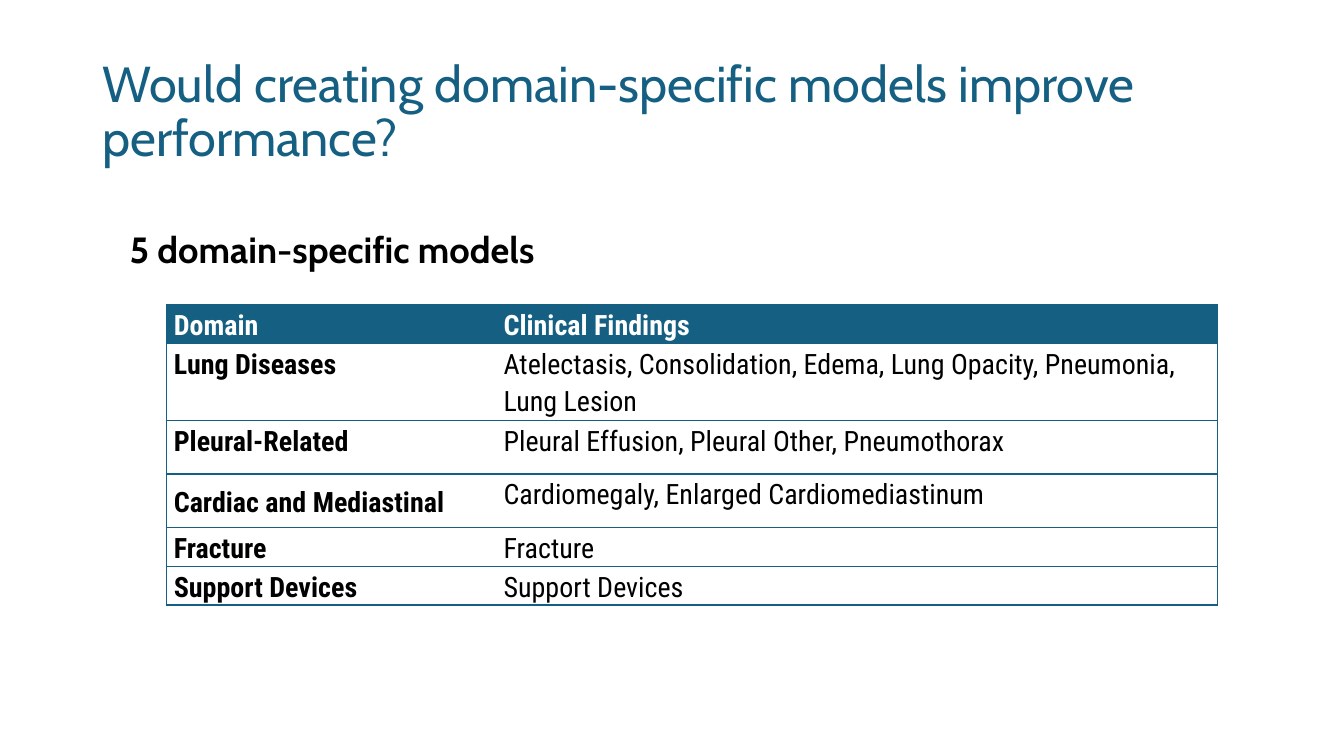
from lxml import etree
from pptx import Presentation
from pptx.dml.color import RGBColor
from pptx.enum.text import MSO_ANCHOR, PP_ALIGN
from pptx.oxml.ns import qn
from pptx.util import Cm, Pt

TOP, MIDDLE = MSO_ANCHOR.TOP, MSO_ANCHOR.MIDDLE
LEFT, JUSTIFY = PP_ALIGN.LEFT, PP_ALIGN.JUSTIFY

TITLE = "Would creating domain-specific models improve performance?"
SUBTITLE = "5 domain-specific models"
HEADER = ("Domain", "Clinical Findings")
FINDINGS = [
    ("Lung Diseases", "Atelectasis, Consolidation, Edema, Lung Opacity, Pneumonia, Lung Lesion"),
    ("Pleural-Related", "Pleural Effusion, Pleural Other, Pneumothorax"),
    ("Cardiac and Mediastinal", "Cardiomegaly, Enlarged Cardiomediastinum"),
    ("Fracture", "Fracture"),
    ("Support Devices", "Support Devices"),
]
CENTERED_DOMAIN = "Cardiac and Mediastinal"
COLUMN_WIDTHS = (8.31, 18.19)
ROW_HEIGHTS = (0.95, 1.9, 1.35, 1.35, 0.95, 0.95)

TEAL, BLACK, WHITE = "156082", "000000", "FFFFFF"
HEADING_FONT, TABLE_FONT = "Cabin", "Roboto Condensed"


def color(value):
    return RGBColor.from_string(value)


def add_run(paragraph, text, font, size, hex_color, bold=False):
    run = paragraph.add_run()
    run.text = text
    run.font.name = font
    run.font.size = Pt(size)
    run.font.bold = bold
    run.font.color.rgb = color(hex_color)


def add_text(slide, left, top, width, height, anchor):
    shape = slide.shapes.add_textbox(Cm(left), Cm(top), Cm(width), Cm(height))
    shape.text_frame.word_wrap = True
    shape.text_frame.vertical_anchor = anchor
    return shape.text_frame.paragraphs[0]


def set_borders(cell, hidden_side):
    properties = cell._tc.get_or_add_tcPr()
    for side in ("lnL", "lnR", "lnT", "lnB"):
        line = etree.SubElement(properties, qn("a:" + side), w=str(Pt(1)))
        if side == hidden_side:
            etree.SubElement(line, qn("a:noFill"))
        else:
            fill = etree.SubElement(line, qn("a:solidFill"))
            etree.SubElement(fill, qn("a:srgbClr"), val=TEAL)


def fill_cell(cell, text, is_header, is_domain):
    set_borders(cell, "lnR" if is_domain else "lnL")
    cell.fill.solid()
    cell.fill.fore_color.rgb = color(TEAL if is_header else WHITE)
    cell.margin_left = cell.margin_right = Cm(0.19)
    cell.margin_top = cell.margin_bottom = 0
    cell.vertical_anchor = MIDDLE if text == CENTERED_DOMAIN else TOP
    paragraph = cell.text_frame.paragraphs[0]
    paragraph.alignment = LEFT if "," in text or text == CENTERED_DOMAIN else JUSTIFY
    paragraph.line_spacing = 1.15
    paragraph.space_after = Pt(8)
    add_run(paragraph, text, TABLE_FONT, 20, WHITE if is_header else BLACK, is_header or is_domain)


def add_findings_table(slide):
    rows = [HEADER] + FINDINGS
    frame = slide.shapes.add_table(
        len(rows), len(HEADER), Cm(4.19), Cm(7.67), Cm(sum(COLUMN_WIDTHS)), Cm(sum(ROW_HEIGHTS))
    )
    table = frame.table
    table.horz_banding = False
    for column, width in zip(table.columns, COLUMN_WIDTHS):
        column.width = Cm(width)
    for row_index, (texts, height) in enumerate(zip(rows, ROW_HEIGHTS)):
        table.rows[row_index].height = Cm(height)
        for column_index, text in enumerate(texts):
            fill_cell(table.cell(row_index, column_index), text, row_index == 0, column_index == 0)


def main():
    presentation = Presentation()
    presentation.slide_width, presentation.slide_height = Cm(33.87), Cm(19.05)
    slide = presentation.slides.add_slide(presentation.slide_layouts[6])

    title = add_text(slide, 2.33, 1.01, 29.21, 3.68, MIDDLE)
    title.line_spacing = 0.9
    add_run(title, TITLE, HEADING_FONT, 36, TEAL)

    subtitle = add_text(slide, 3.02, 5.72, 28.88, 11.05, TOP)
    subtitle.line_spacing = 0.9
    subtitle.space_before = Pt(10)
    add_run(subtitle, SUBTITLE, HEADING_FONT, 26, BLACK, True)

    add_findings_table(slide)
    presentation.save("out.pptx")


if __name__ == "__main__":
    main()
